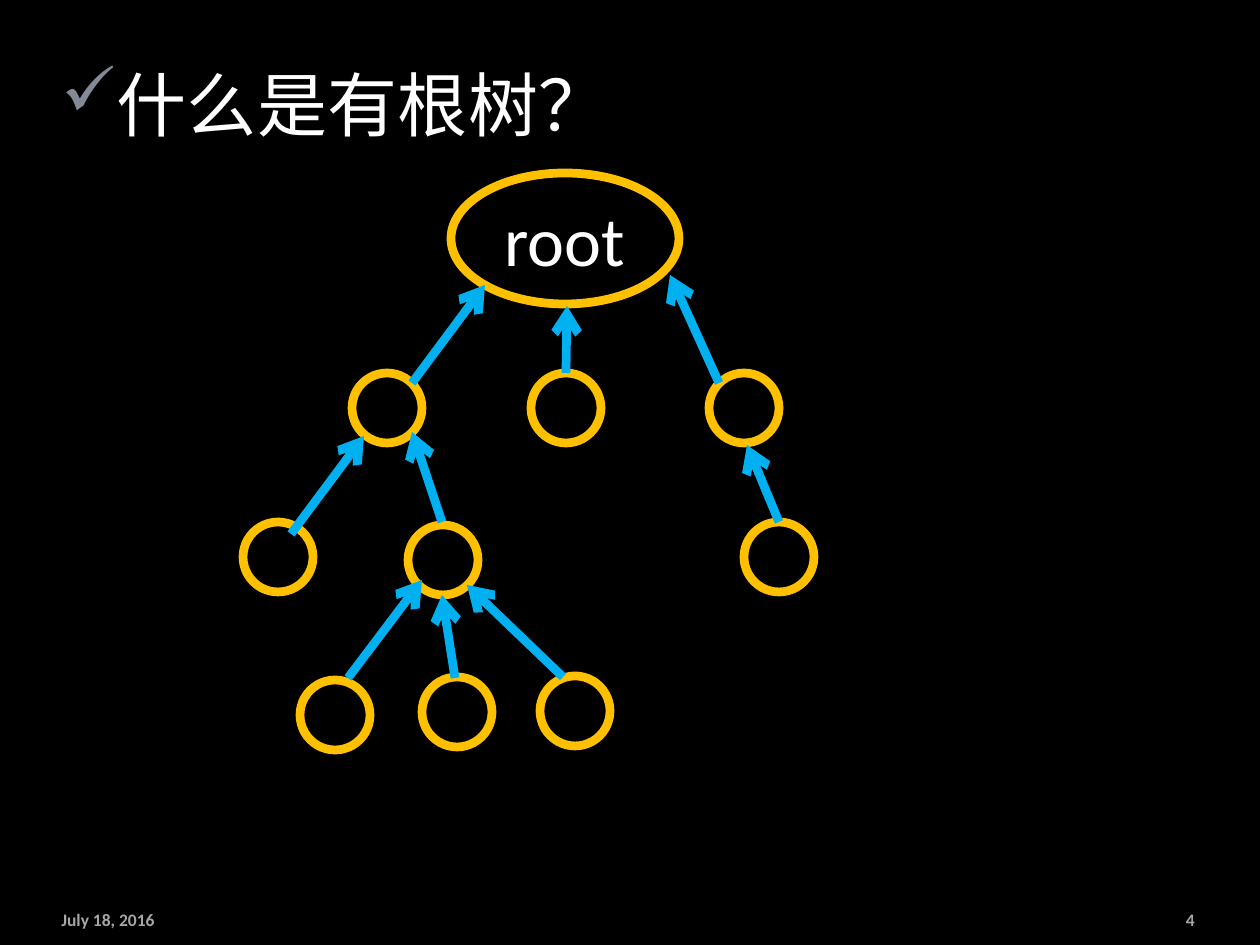
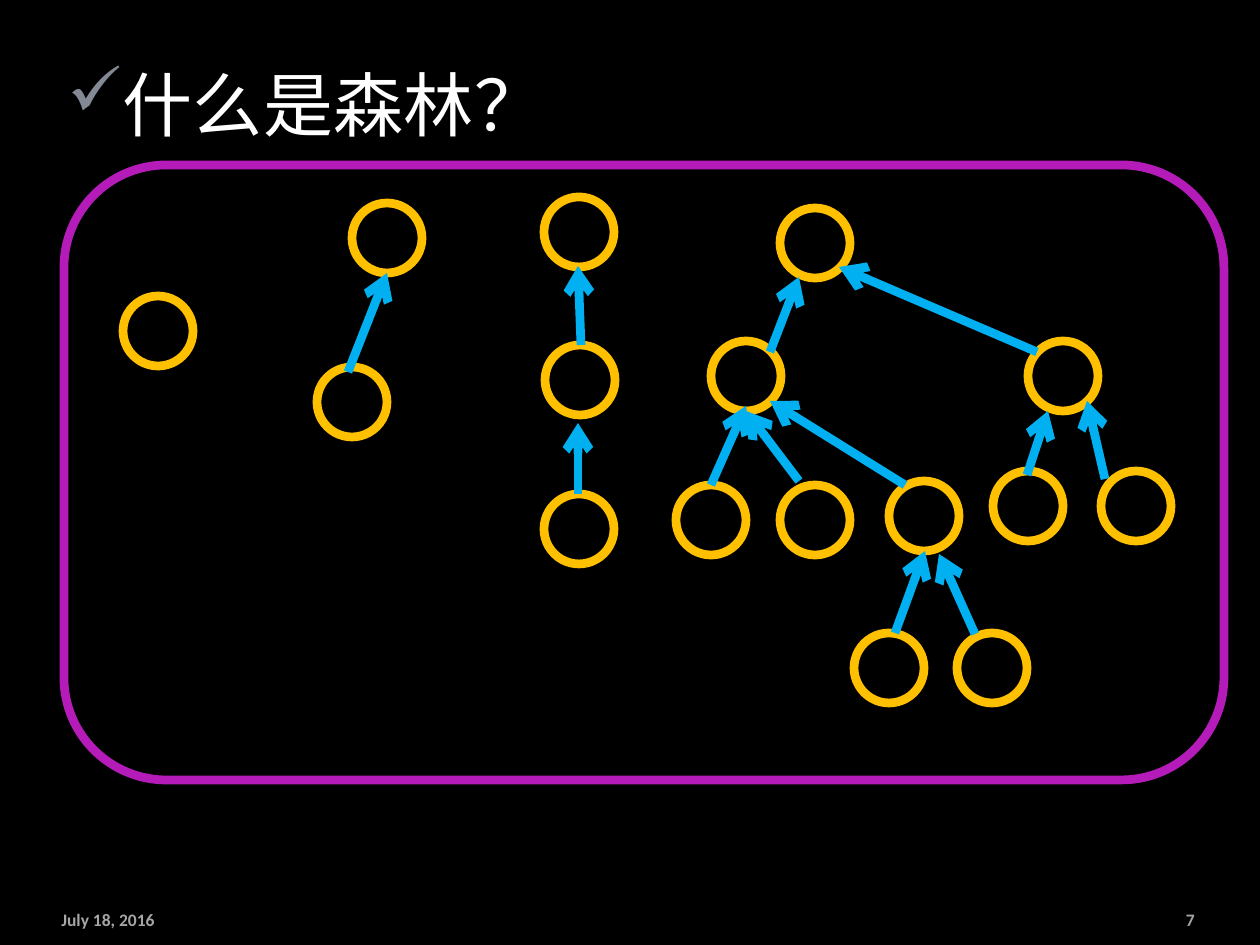
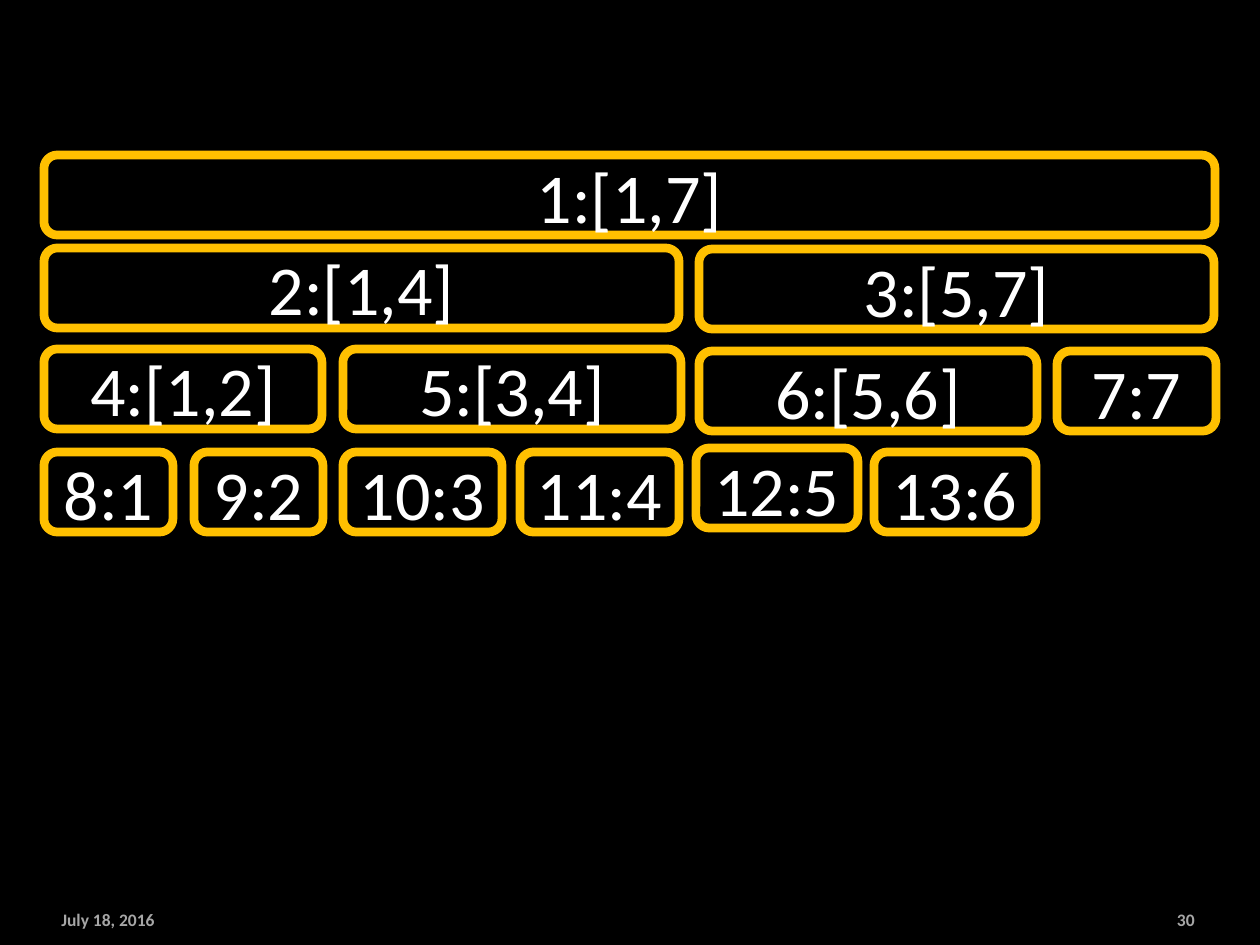
from lxml import etree
from pptx import Presentation
from pptx import util as u
from pptx.dml.color import RGBColor
from pptx.enum import shapes, text
from pptx.oxml import ns

PX = u.Inches(1) / 126
FONT = "Calibri"
BLACK = RGBColor(0x00, 0x00, 0x00)
WHITE = RGBColor(0xFF, 0xFF, 0xFF)
GRAY = RGBColor(0xA6, 0xA6, 0xA6)
CHECK_GRAY = RGBColor(0x83, 0x89, 0x95)
AMBER = RGBColor(0xFF, 0xC0, 0x00)
SKY = RGBColor(0x00, 0xB0, 0xF0)
PURPLE = RGBColor(0xB5, 0x1B, 0xB9)

LINE_WIDTH = u.Pt(5)
NODE = 70
BAR_HEIGHT = 80

ROOTED_NODES = [
    (387, 408), (566, 408), (744, 408),
    (278, 557), (443, 560), (779, 557),
    (335, 715), (457, 712), (575, 711),
]
ROOTED_ARROWS = [
    (412, 383, 485, 285), (291, 534, 364, 436), (566, 373, 567, 306),
    (719, 383, 670, 275), (442, 522, 412, 432), (348, 678, 422, 580),
    (455, 678, 442, 595), (563, 677, 467, 585), (779, 522, 747, 445),
]
FOREST_NODES = [
    (158, 331), (387, 238), (579, 232), (815, 243),
    (352, 402), (580, 380), (579, 529), (746, 376), (1063, 376),
    (711, 520), (815, 520), (924, 516), (1028, 506), (1136, 506),
    (889, 668), (992, 668),
]
FOREST_ARROWS = [
    (348, 372, 387, 273), (581, 345, 578, 266), (578, 494, 578, 423),
    (770, 352, 799, 277), (711, 485, 746, 406), (799, 481, 746, 411),
    (905, 485, 770, 401), (1027, 475, 1048, 411), (1037, 352, 839, 267),
    (1105, 479, 1087, 401), (895, 633, 925, 551), (975, 634, 939, 554),
]
SEGMENTS = [
    ("1:[1,7]", 44, 155, 1171),
    ("2:[1,4]", 44, 248, 635), ("3:[5,7]", 699, 249, 515),
    ("4:[1,2]", 44, 349, 278), ("5:[3,4]", 343, 349, 338),
    ("6:[5,6]", 699, 351, 338), ("7:7", 1057, 351, 159),
    ("8:1", 44, 452, 129), ("9:2", 194, 452, 129),
    ("10:3", 343, 452, 159), ("11:4", 520, 452, 159),
    ("12:5", 696, 448, 162), ("13:6", 874, 452, 162),
]


def px(*lengths):
    return [u.Emu(round(length * PX)) for length in lengths]


def add_run(paragraph, wording, size, color, bold=False):
    run = paragraph.add_run()
    run.text = wording
    run.font.name = FONT
    run.font.size = u.Pt(size)
    run.font.bold = bold
    run.font.color.rgb = color
    return run


def add_text_box(slide, box, anchor):
    frame = slide.shapes.add_textbox(*px(*box)).text_frame
    frame.word_wrap = True
    frame.vertical_anchor = anchor
    return frame.paragraphs[0]


def add_title(slide, left, wording):
    paragraph = add_text_box(slide, (left, 55, 1058, 100), text.MSO_ANCHOR.TOP)
    properties = paragraph._p.get_or_add_pPr()
    indent = px(39)[0]
    properties.set("marL", str(indent))
    properties.set("indent", str(-indent))
    bullet_color = etree.SubElement(properties, ns.qn("a:buClr"))
    etree.SubElement(bullet_color, ns.qn("a:srgbClr"), val=str(CHECK_GRAY))
    etree.SubElement(properties, ns.qn("a:buChar"), char="✓")
    run = add_run(paragraph, wording, 40, WHITE)
    run._r.get_or_add_rPr().set("spc", "30")


def add_footer(slide, number):
    fields = [
        ("July 18, 2016", 49, 202, text.PP_ALIGN.LEFT),
        (str(number), 1086, 121, text.PP_ALIGN.RIGHT),
    ]
    for wording, left, width, alignment in fields:
        paragraph = add_text_box(slide, (left, 902, width, 34), text.MSO_ANCHOR.MIDDLE)
        paragraph.alignment = alignment
        add_run(paragraph, wording, 10, GRAY, bold=True)


def add_outline(slide, kind, box, color=AMBER, label=None):
    shape = slide.shapes.add_shape(kind, *px(*box))
    shape.shadow.inherit = False
    shape.fill.background()
    shape.line.color.rgb = color
    shape.line.width = LINE_WIDTH
    if label:
        frame = shape.text_frame
        frame.word_wrap = True
        frame.vertical_anchor = text.MSO_ANCHOR.MIDDLE
        paragraph = frame.paragraphs[0]
        paragraph.alignment = text.PP_ALIGN.CENTER
        add_run(paragraph, label, 40, WHITE)


def add_arrow(slide, ends):
    connector = slide.shapes.add_connector(shapes.MSO_CONNECTOR.STRAIGHT, *px(*ends))
    connector.line.color.rgb = SKY
    connector.line.width = LINE_WIDTH
    etree.SubElement(connector.line._get_or_add_ln(), ns.qn("a:tailEnd"), type="arrow")
    etree.SubElement(connector._element.spPr, ns.qn("a:effectLst"))


def add_tree(slide, nodes, arrows):
    for x, y in nodes:
        box = (x - NODE / 2, y - NODE / 2, NODE, NODE)
        add_outline(slide, shapes.MSO_SHAPE.OVAL, box)
    for ends in arrows:
        add_arrow(slide, ends)


def add_slide(presentation, number):
    slide = presentation.slides.add_slide(presentation.slide_layouts[6])
    slide.background.fill.solid()
    slide.background.fill.fore_color.rgb = BLACK
    add_footer(slide, number)
    return slide


def main():
    presentation = Presentation()
    presentation.slide_width, presentation.slide_height = px(1260, 945)

    rooted = add_slide(presentation, 4)
    add_title(rooted, 49, "什么是有根树？")
    add_outline(rooted, shapes.MSO_SHAPE.OVAL, (451, 173, 228, 131), label="root")
    add_tree(rooted, ROOTED_NODES, ROOTED_ARROWS)

    forest = add_slide(presentation, 7)
    add_title(forest, 55, "什么是森林？")
    add_tree(forest, FOREST_NODES, FOREST_ARROWS)
    add_outline(forest, shapes.MSO_SHAPE.ROUNDED_RECTANGLE, (64, 165, 1160, 615), PURPLE)

    segment_tree = add_slide(presentation, 30)
    for label, left, top, width in SEGMENTS:
        box = (left, top, width, BAR_HEIGHT)
        add_outline(segment_tree, shapes.MSO_SHAPE.ROUNDED_RECTANGLE, box, label=label)

    presentation.save("out.pptx")


if __name__ == "__main__":
    main()
